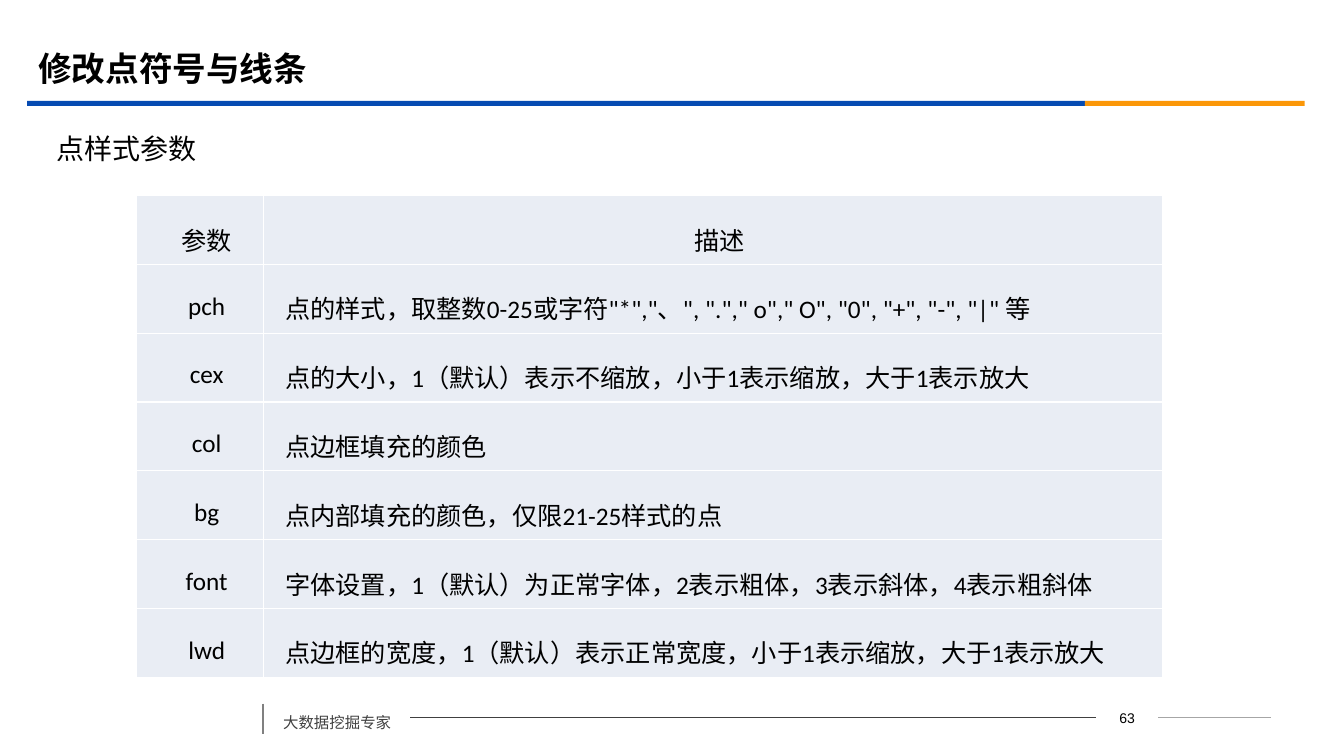
from typing import NamedTuple

from pptx import Presentation
from pptx.dml.color import RGBColor
from pptx.enum.shapes import MSO_CONNECTOR as Connector, MSO_SHAPE as Shape
from pptx.enum.text import MSO_ANCHOR as Anchor, PP_ALIGN as Align
from pptx.oxml.ns import qn
from pptx.util import Inches, Pt
from lxml.etree import SubElement

CJK = "Noto Sans CJK SC"


class Area(NamedTuple):
    left: float
    top: float
    width: float
    height: float


class Label(NamedTuple):
    text: str
    area: Area
    size: float
    font: str
    color: str
    align: Align = Align.LEFT
    spacing: float = 1.0
    margin: float = 0.1


class Bar(NamedTuple):
    area: Area
    color: str


class Rule(NamedTuple):
    start: tuple[float, float]
    end: tuple[float, float]
    color: str
    weight: float


class Parameter(NamedTuple):
    name: str
    description: str


TITLE = Label("修改点符号与线条", Area(0.28, 0.39, 12, 0.58), 24, CJK, "000000")
SUBTITLE = Label("点样式参数", Area(0.46, 1.24, 12.15, 0.47), 20, CJK, "000000")
CAPTION = Label("大数据挖掘专家", Area(2.71, 6.93, 1.36, 0.38), 11, CJK, "404040", spacing=1.5)
NUMBER = Label("63", Area(10.87, 6.99, 0.62, 0.26), 10, "Arial", "000000", Align.CENTER, margin=0)
BARS = [
    Bar(Area(0.27, 1, 10.49, 0.05), "064BB2"),
    Bar(Area(10.76, 1, 2.18, 0.05), "FB9708"),
]
CAPTION_RULE = Rule((2.61, 6.98), (2.61, 7.28), "808080", 1.25)
MIDDLE_RULE = Rule((4.07, 7.12), (10.87, 7.12), "404040", 0.75)
RIGHT_RULE = Rule((11.49, 7.12), (12.61, 7.12), "A6A6A6", 0.75)
TABLE_AREA = Area(1.35, 1.94, 10.18, 4.78)
COLUMN_WIDTHS = [1.26, 8.92]
PARAMETERS = [
    Parameter("参数", "描述"),
    Parameter("pch", '点的样式，取整数0-25或字符"*","、", "."," o"," O", "0", "+", "-", "|" 等'),
    Parameter("cex", "点的大小，1（默认）表示不缩放，小于1表示缩放，大于1表示放大"),
    Parameter("col", "点边框填充的颜色"),
    Parameter("bg", "点内部填充的颜色，仅限21-25样式的点"),
    Parameter("font", "字体设置，1（默认）为正常字体，2表示粗体，3表示斜体，4表示粗斜体"),
    Parameter("lwd", "点边框的宽度，1（默认）表示正常宽度，小于1表示缩放，大于1表示放大"),
]


def rgb(color: str) -> RGBColor:
    return RGBColor.from_string(color)


def lengths(area: Area) -> list:
    return [Inches(value) for value in area]


def format_runs(para, size: float, font: str, color: str, bold: bool = False) -> None:
    for run in para.runs:
        run.font.size = Pt(size)
        run.font.name = font
        run.font.bold = bold
        run.font.color.rgb = rgb(color)
        SubElement(run.font._element, qn("a:ea")).set("typeface", CJK)


def fill_label(box, label: Label, bold: bool = False) -> None:
    box.left, box.top, box.width, box.height = lengths(label.area)
    frame = box.text_frame
    frame.word_wrap = True
    frame.vertical_anchor = Anchor.MIDDLE
    frame.margin_left = frame.margin_right = Inches(label.margin)
    frame.margin_top = frame.margin_bottom = Inches(label.margin / 2)
    frame.text = label.text
    para = frame.paragraphs[0]
    para.alignment = label.align
    para.line_spacing = label.spacing
    format_runs(para, label.size, label.font, label.color, bold)


def add_label(page, label: Label):
    box = page.shapes.add_textbox(*lengths(label.area))
    fill_label(box, label)
    return box


def add_bar(page, bar: Bar) -> None:
    shape = page.shapes.add_shape(Shape.RECTANGLE, *lengths(bar.area))
    shape.shadow.inherit = False
    shape.fill.solid()
    shape.fill.fore_color.rgb = rgb(bar.color)
    shape.line.fill.background()


def add_rule(page, rule: Rule):
    ends = [Inches(value) for value in rule.start + rule.end]
    line = page.shapes.add_connector(Connector.STRAIGHT, *ends)
    line.line.color.rgb = rgb(rule.color)
    line.line.width = Pt(rule.weight)
    SubElement(line._element.spPr, qn("a:effectLst"))
    return line


def format_cell(cell, text: str, align: Align) -> None:
    properties = cell._tc.get_or_add_tcPr()
    for side in ("lnL", "lnR", "lnT", "lnB"):
        border = SubElement(properties, qn(f"a:{side}"), w=str(Pt(1)))
        fill = SubElement(border, qn("a:solidFill"))
        SubElement(fill, qn("a:srgbClr"), val="FFFFFF")
    cell.fill.solid()
    cell.fill.fore_color.rgb = rgb("E9EDF4")
    cell.vertical_anchor = Anchor.MIDDLE
    cell.margin_left = cell.margin_right = Inches(0.08)
    cell.margin_top = cell.margin_bottom = 0
    cell.text_frame.text = text
    para = cell.text_frame.paragraphs[0]
    para.alignment = align
    para.line_spacing = 1.5
    indents = para._p.get_or_add_pPr()
    indents.set("marL", "0")
    indents.set("indent", str(Inches(0.14)))
    format_runs(para, 18, "Calibri", "000000")


def add_parameter_table(page) -> None:
    frame = page.shapes.add_table(len(PARAMETERS), len(COLUMN_WIDTHS), *lengths(TABLE_AREA))
    table = frame.table
    table.first_row = table.horz_banding = False
    for column, width in zip(table.columns, COLUMN_WIDTHS):
        column.width = Inches(width)
    for index, parameter in enumerate(PARAMETERS):
        table.rows[index].height = Inches(TABLE_AREA.height / len(PARAMETERS))
        format_cell(table.cell(index, 0), parameter.name, Align.CENTER)
        align = Align.JUSTIFY if index else Align.CENTER
        format_cell(table.cell(index, 1), parameter.description, align)


def main() -> None:
    deck = Presentation()
    deck.slide_width, deck.slide_height = Inches(13.33), Inches(7.5)
    page = deck.slides.add_slide(deck.slide_layouts[5])
    fill_label(page.shapes.title, TITLE, bold=True)
    for bar in BARS:
        add_bar(page, bar)
    number = add_label(page, NUMBER)
    caption = add_label(page, CAPTION)
    add_rule(page, CAPTION_RULE)
    middle = add_rule(page, MIDDLE_RULE)
    middle.begin_connect(caption, 3)
    middle.end_connect(number, 1)
    add_rule(page, RIGHT_RULE).begin_connect(number, 3)
    add_parameter_table(page)
    add_label(page, SUBTITLE)
    deck.save("out.pptx")


if __name__ == "__main__":
    main()
